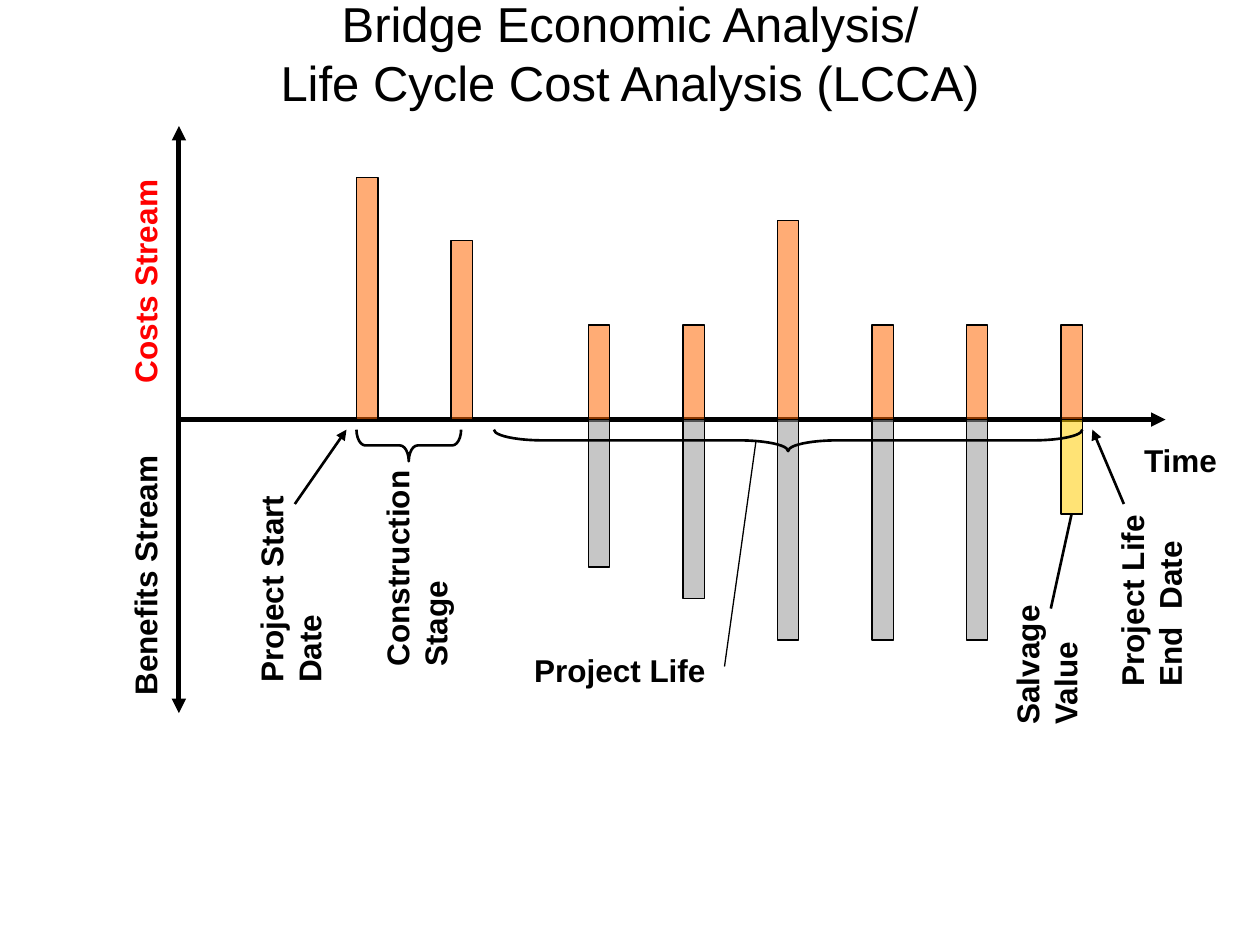
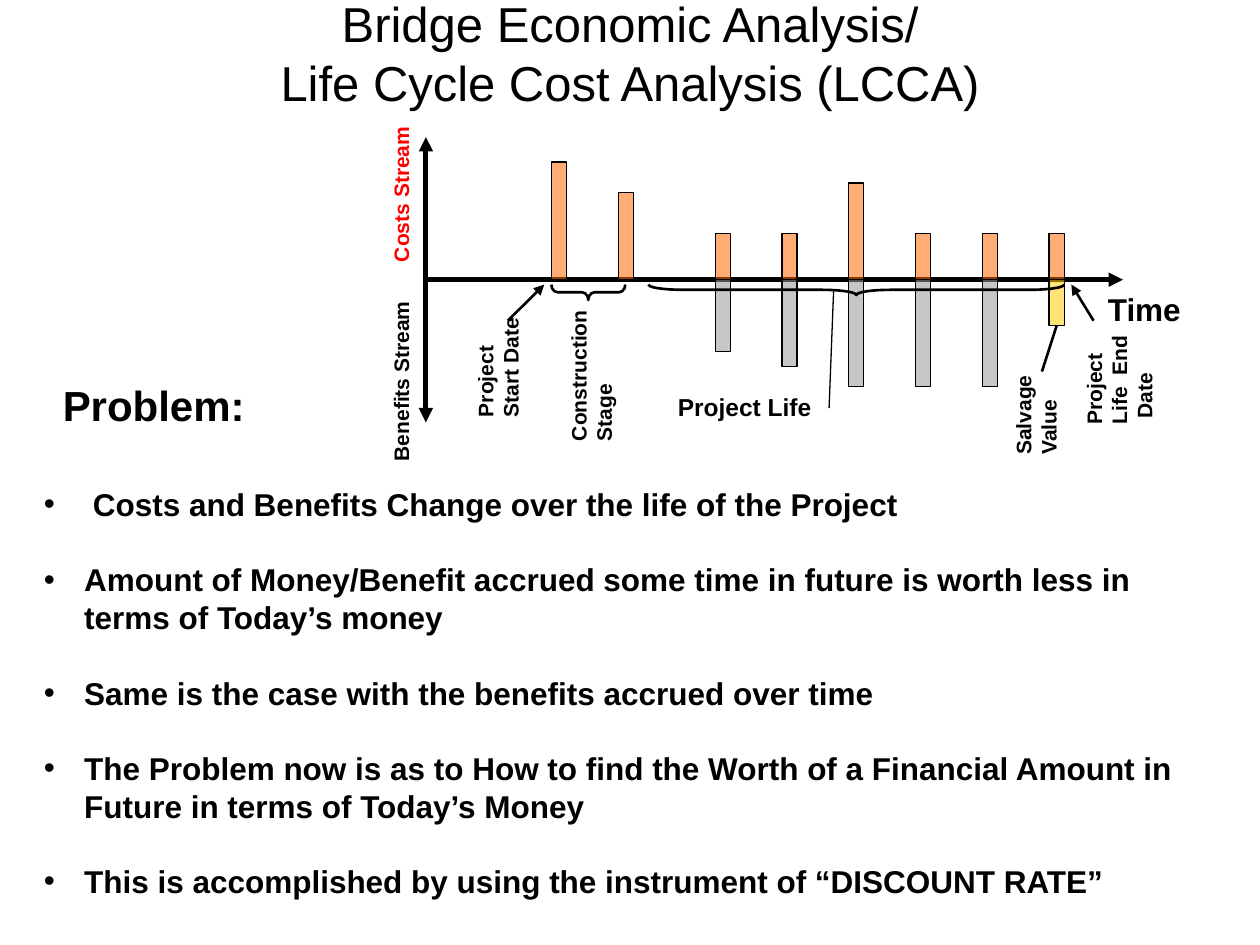
from pptx import Presentation
from pptx.dml.color import RGBColor
from pptx.enum.shapes import MSO_CONNECTOR, MSO_SHAPE
from pptx.enum.text import MSO_ANCHOR as Anchor, PP_ALIGN as Align
from pptx.oxml.ns import qn
from pptx.util import Inches, Pt
from lxml.etree import SubElement

FONT = "Arial"
BLACK, RED = "000000", "FF0000"
COST, BENEFIT, SALVAGE = "FF6600", "969696", "FFCC00"
TITLE = "Bridge Economic Analysis/\vLife Cycle Cost Analysis (LCCA)"
color = RGBColor.from_string


def add_text(page, place, texts, size, hue=BLACK, bold=True, inset=(0, 0),
             align=Align.LEFT, upright=False, wrap=True):
    box = page.shapes.add_textbox(*(Inches(value) for value in place))
    frame = box.text_frame
    frame.word_wrap = wrap
    frame.margin_left = frame.margin_right = Inches(inset[0])
    frame.margin_top = frame.margin_bottom = Inches(inset[1])
    if upright:
        frame._txBody.bodyPr.set("vert", "vert270")
    for index, text in enumerate(texts):
        para = frame.add_paragraph() if index else frame.paragraphs[0]
        para.text = text
        para.alignment = align
        for span in para.runs:
            span.font.name, span.font.size, span.font.bold = FONT, Pt(size), bold
            span.font.color.rgb = color(hue)
    return box


def add_line(page, start, end, width, arrow=False):
    line = page.shapes.add_connector(
        MSO_CONNECTOR.STRAIGHT, *(Inches(value) for value in (*start, *end)))
    line.line.color.rgb = color(BLACK)
    line.line.width = Pt(width)
    if arrow:
        SubElement(line.line._get_or_add_ln(), qn("a:tailEnd"), type="triangle")
    SubElement(line._element.spPr, qn("a:effectLst"))
    return line


# Cash flow diagram, in inches from the point where the axes meet
# Bars: offset, cost above the axis, amount below it, colour below it
bars = [
    (1.41, 1.92, 0, None),
    (2.16, 1.42, 0, None),
    (3.25, 0.75, 1.17, BENEFIT),
    (4.0, 0.75, 1.42, BENEFIT),
    (4.75, 1.58, 1.75, BENEFIT),
    (5.5, 0.75, 1.75, BENEFIT),
    (6.25, 0.75, 1.75, BENEFIT),
    (7.0, 0.75, 0.75, SALVAGE),
]
BAR_WIDTH = 0.17
axis_ends = [(0, -2.33), (7.83, 0), (0, 2.33)]
date_arrows = [((0.92, 0.67), (1.33, 0.08)), ((7.5, 0.67), (7.25, 0.08))]
# Braces: left, span, depth, curve radius
braces = [(1.41, 0.83, 0.25, 0.07), (2.5, 4.67, 0.17, 0.39)]
BRACE_TOP = 0.08
label_texts = ["Costs Stream", "Benefits Stream", "Construction Stage",
               "Project Start Date", "Project Life  End  Date", "Salvage Value"]

# Each slide: origin and scale of the diagram, label sizes and label places
layouts = [
    dict(origin=(1.42, 3.33), scale=(1, 1), size=18, life_size=18,
         life=(4.17, 5.17, 1.5, 0.33), life_end=(5.75, 5.29),
         labels=[(1, 1.42, 0.3, 1.62), (1, 3.59, 0.3, 1.93),
                 (3, 3.7, 0.6, 1.59), (2, 3.92, 0.6, 1.5),
                 (8.83, 4, 0.6, 1.45), (8, 4.77, 0.6, 0.98)]),
    dict(origin=(3.38, 2.22), scale=(0.7066, 0.486), size=12, life_size=14,
         life=(5.32, 3.11, 1.18, 0.22), life_end=(6.58, 3.24),
         labels=[(3.08, 1, 0.2, 1.08), (3.08, 2.37, 0.2, 1.29),
                 (4.49, 2.42, 0.4, 1.08), (3.75, 2.49, 0.4, 0.82),
                 (8.58, 2.66, 0.6, 0.71), (8.02, 2.95, 0.4, 0.66)]),
]

deck = Presentation()
deck.slide_width, deck.slide_height = Inches(10), Inches(7.5)

for layout in layouts:
    page = deck.slides.add_slide(deck.slide_layouts[6])
    (left, top), (across, down) = layout["origin"], layout["scale"]

    # Title
    title = add_text(page, (0, 0, 10, 0.83), [TITLE], 28, bold=False,
                     inset=(0.1, 0.05), align=Align.CENTER)
    title.text_frame.vertical_anchor = Anchor.MIDDLE

    # Axes
    for x, y in axis_ends:
        add_line(page, (left, top), (left + x * across, top + y * down), 2.75, True)
    add_text(page, (left + 7.66 * across, top + 0.17 * down, 0.58, 0.3),
             ["Time"], 18, wrap=False)

    # Bars above and below the time axis
    for x, cost, amount, hue in bars:
        for height, y, fill in ((cost, -cost, COST), (amount, 0, hue)):
            if not height:
                continue
            bar = page.shapes.add_shape(
                MSO_SHAPE.RECTANGLE,
                Inches(left + x * across), Inches(top + y * down),
                Inches(BAR_WIDTH * across), Inches(height * down))
            bar.shadow.inherit = False
            bar.fill.solid()
            bar.fill.fore_color.rgb = color(fill)
            solid = bar._element.spPr.find(qn("a:solidFill"))
            SubElement(solid[0], qn("a:alpha"), val="54000")
            bar.line.color.rgb = color(BLACK)
            bar.line.width = Pt(0.75)
            if fill == SALVAGE:
                salvage_bar = bar

    # Braces under the axis, turned to point down
    for x, span, depth, radius in braces:
        width, height = depth * down, span * across
        center_x = left + (x + span / 2) * across
        center_y = top + (BRACE_TOP + depth / 2) * down
        brace = page.shapes.add_shape(
            MSO_SHAPE.LEFT_BRACE,
            Inches(center_x - width / 2), Inches(center_y - height / 2),
            Inches(width), Inches(height))
        brace.rotation = 270
        brace.adjustments[0] = radius * across / width
        brace.shadow.inherit = False
        brace.fill.background()
        brace.line.color.rgb = color(BLACK)
        brace.line.width = Pt(1.5)

    # Upright labels
    for text, place in zip(label_texts, layout["labels"]):
        add_text(page, place, [text], layout["size"],
                 RED if text == "Costs Stream" else BLACK, upright=True)

    # Project life label with its leader
    add_text(page, layout["life"], ["Project Life"], layout["life_size"],
             align=Align.CENTER)
    add_line(page, (left + 4.58 * across, top + 0.17 * down),
             layout["life_end"], 0.75)

    # Pointers to the dates and the salvage value
    for (x1, y1), (x2, y2) in date_arrows:
        add_line(page, (left + x1 * across, top + y1 * down),
                 (left + x2 * across, top + y2 * down), 1.5, True)
    pointer = add_line(page, (left + 6.92 * across, top + 1.5 * down),
                       (left + 7.08 * across, top + 0.75 * down), 1.5)
    pointer.end_connect(salvage_bar, 2)

# Problem statement on the second slide
add_text(page, (0.4, 2.96, 2, 0.5), ["Problem:"], 24, inset=(0.1, 0.05))
problems = add_text(page, (0.25, 3.8, 9.5, 3.4), [
    " Costs and Benefits Change over the life of the Project",
    "Amount of Money/Benefit accrued some time in future is worth less in "
    "terms of Today’s money",
    "Same is the case with the benefits accrued over time",
    "The Problem now is as to How to find the Worth of a Financial Amount in "
    "Future in terms of Today’s Money",
    "This is accomplished by using the instrument of “DISCOUNT RATE”",
], 18, inset=(0.1, 0.05))
for index, para in enumerate(problems.text_frame.paragraphs):
    if index:
        para.space_before = Pt(21.5)
    properties = para._p.get_or_add_pPr()
    properties.set("marL", str(Inches(0.32)))
    properties.set("indent", str(Inches(-0.32)))
    SubElement(properties, qn("a:buFont"), typeface=FONT)
    SubElement(properties, qn("a:buChar"), char="•")

deck.save("out.pptx")
